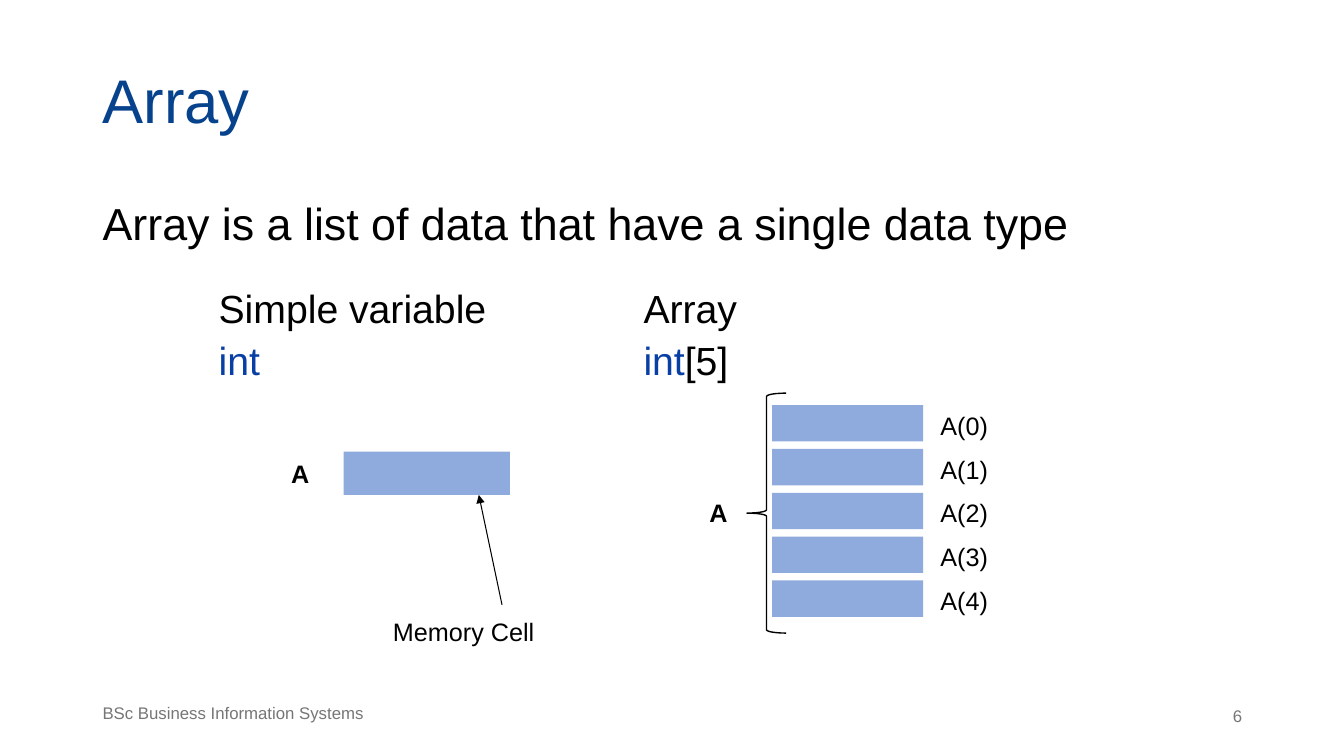
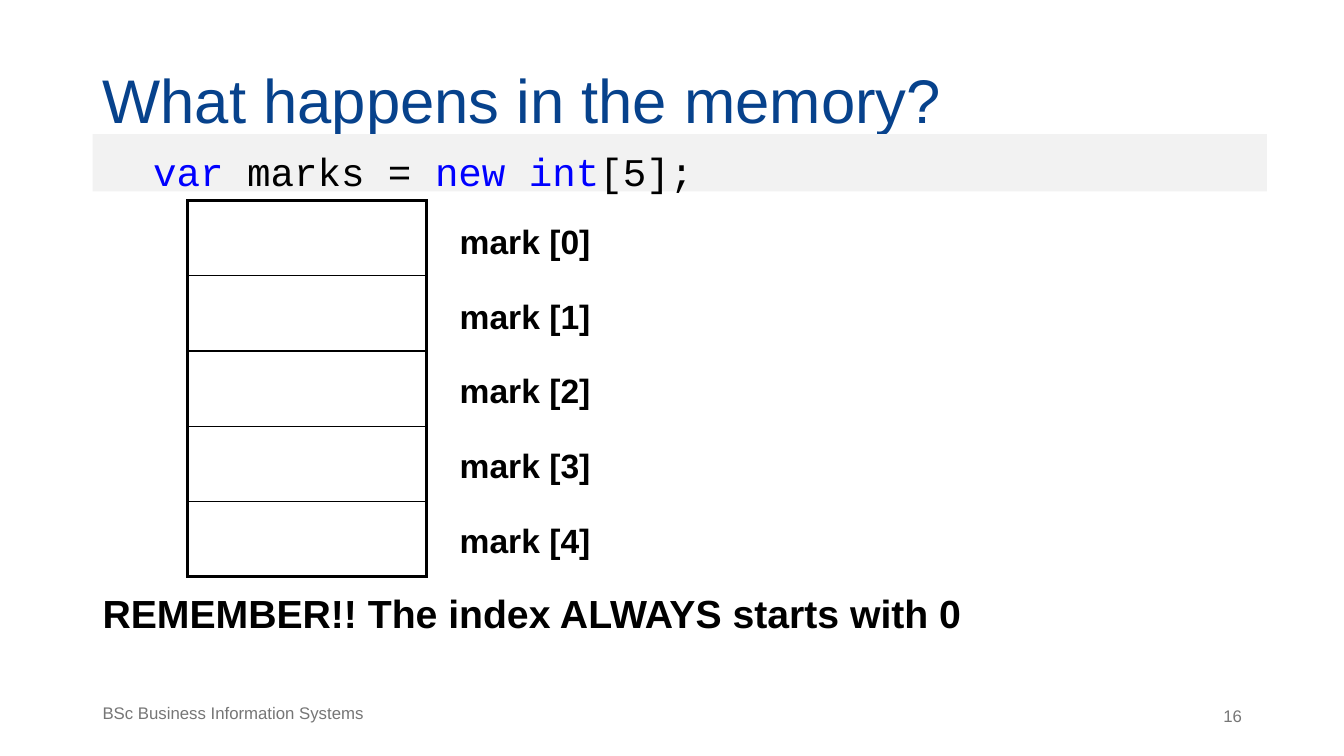
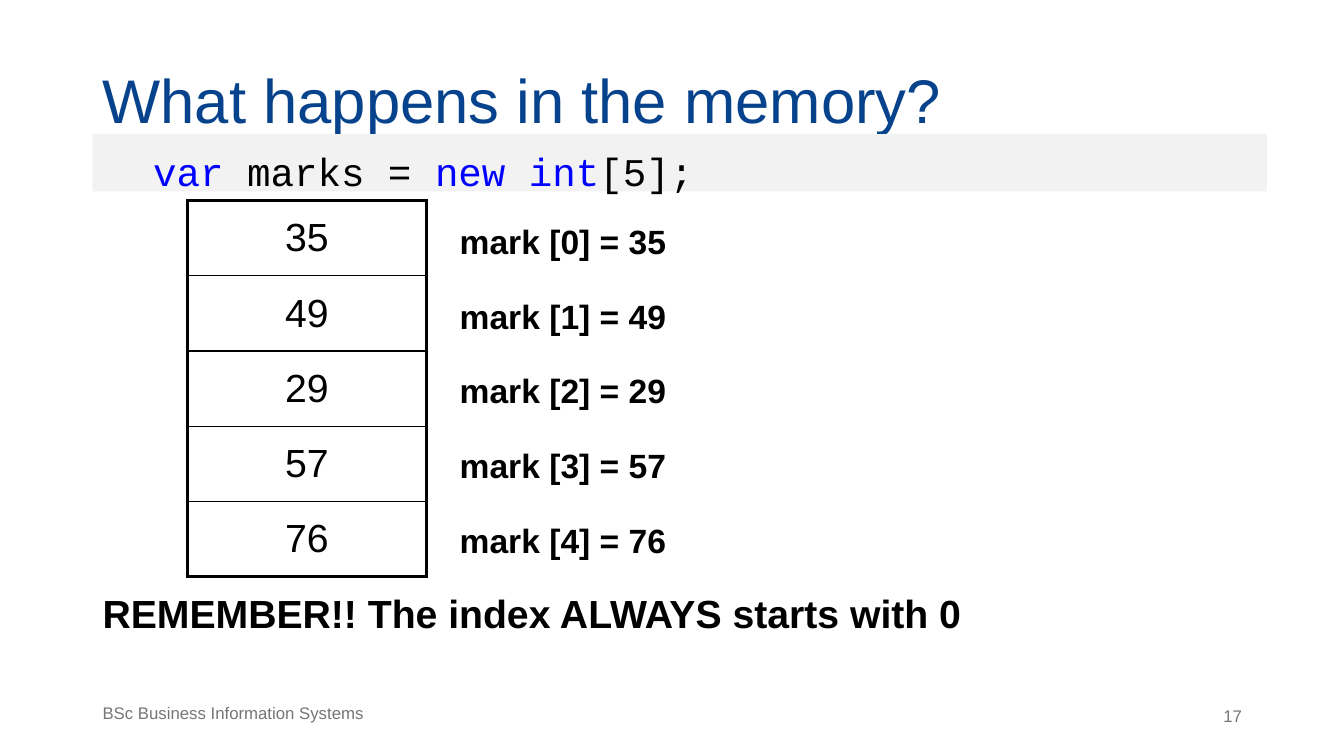
from pptx import Presentation, util as u
from pptx.dml import color
from pptx.enum import shapes, text
from pptx.oxml import ns
from lxml import etree

Pt = u.Pt
HUES = {"title": "07428C", "grey": "767676", "ink": "000000", "type": "083FA4",
        "key": "0000FF", "band": "F2F2F2", "cell": "8FAADC"}
SANS, MONO = "Arial", "Courier New"
LEFT = 66.2
TOP, MID, LOW = text.MSO_ANCHOR.TOP, text.MSO_ANCHOR.MIDDLE, text.MSO_ANCHOR.BOTTOM
FLUSH, CENTER, RIGHT = text.PP_ALIGN.LEFT, text.PP_ALIGN.CENTER, text.PP_ALIGN.RIGHT
CODE = [("var", "key"), (" marks = ", "ink"), ("new int", "key"), ("[5];", "ink")]


def rgb(hue):
    return color.RGBColor.from_string(HUES[hue])


def write(para, runs, size, hue="ink", bold=False, face=SANS, align=FLUSH, lead=1.0):
    font = para.font
    font.name, font.size, font.bold = face, Pt(size), bold
    para.alignment, para.line_spacing = align, lead
    for words, tint in [(runs, hue)] if isinstance(runs, str) else runs:
        run = para.add_run()
        run.text = words
        run.font.color.rgb = rgb(tint)


def label(slide, box, words, size, anchor=TOP, pad=3.6, wrap=True, **style):
    frame = slide.shapes.add_textbox(*map(Pt, box)).text_frame
    frame.word_wrap = wrap
    frame.vertical_anchor = anchor
    frame.margin_top = frame.margin_bottom = Pt(pad)
    write(frame.paragraphs[0], words, size, **style)


def block(slide, box, hue):
    rect = slide.shapes.add_shape(shapes.MSO_SHAPE.RECTANGLE, *map(Pt, box))
    rect.shadow.inherit = False
    rect.fill.solid()
    rect.fill.fore_color.rgb = rgb(hue)
    rect.line.fill.background()
    return rect


def brace(slide, box):
    curve = slide.shapes.add_shape(shapes.MSO_SHAPE.LEFT_BRACE, *map(Pt, box))
    curve.shadow.inherit = False
    curve.adjustments[0] = 0.083
    curve.fill.background()
    curve.line.color.rgb = rgb("ink")
    curve.line.width = Pt(1)


def arrow(slide, ends):
    link = slide.shapes.add_connector(shapes.MSO_CONNECTOR.STRAIGHT, *map(Pt, ends))
    link.line.color.rgb = rgb("ink")
    link.line.width = Pt(0.75)
    etree.SubElement(link.line._get_or_add_ln(), ns.qn("a:tailEnd"), type="triangle")
    etree.SubElement(link._element.spPr, ns.qn("a:effectLst"))


def border(cell, widths):
    props = cell._tc.get_or_add_tcPr()
    for spot, (side, width) in enumerate(zip("LRTB", widths)):
        edge = etree.Element(ns.qn("a:ln" + side), w=str(Pt(width)))
        fill = etree.SubElement(edge, ns.qn("a:solidFill"))
        etree.SubElement(fill, ns.qn("a:srgbClr"), val=HUES["ink"])
        props.insert(spot, edge)


def grid(slide, rows, cols, box):
    table = slide.shapes.add_table(rows, cols, *map(Pt, box)).table
    table.first_row = table.horz_banding = False
    for cell in table.iter_cells():
        cell.fill.background()
    return table


def page(deck, title, number):
    slide = deck.slides.add_slide(deck.slide_layouts[6])
    label(slide, (LEFT, 37.4, 675.4, 67.7), title, 44, LOW, 7.2, hue="title", lead=0.9)
    label(slide, (LEFT, 499.7, 244, 29.5), "BSc Business Information Systems", 12,
          hue="grey", lead=0.9)
    label(slide, (733.7, 500.4, 160.6, 28.8), str(number), 12, hue="grey", align=RIGHT)
    return slide


def body(slide, words, size, **style):
    label(slide, (LEFT, 135.4, 884.2, 329), words, size, **style)


def array(deck):
    slide = page(deck, "Array", 6)
    body(slide, "Array is a list of data that have a single data type", 32,
         pad=8.5, lead=0.9)
    table = grid(slide, 1, 2, (149, 202.3, 607, 261.4))
    heads = ("Simple variable", [("int", "type")]), ("Array", [("int", "type"), ("[5]", "ink")])
    for cell, (name, kind) in zip(table.iter_cells(), heads):
        frame = cell.text_frame
        write(frame.paragraphs[0], name, 28)
        para = frame.add_paragraph()
        write(para, kind, 28)
        para.space_before = Pt(5.6)
    block(slide, (245.5, 322.6, 118.8, 31), "cell")
    for left, top in (200.9, 324), (499.7, 351.4):
        label(slide, (left, top, 33.8, 26.6), "A", 18, bold=True)
    for index in range(5):
        top = 289.4 + index * 31.3
        block(slide, (551.5, top, 108, 26), "cell")
        label(slide, (664.6, top, 62.6, 26.6), f"A({index})", 18)
    arrow(slide, (358.6, 432, 342, 353.5))
    label(slide, (273.6, 437, 164.2, 26.6), "Memory Cell", 18)
    brace(slide, (533.5, 280.8, 28.1, 171.4))


def memory(deck, number, marks):
    slide = page(deck, "What happens in the memory?", number)
    body(slide, "REMEMBER!! The index ALWAYS starts with 0", 28, anchor=LOW, pad=9.5,
         bold=True)
    frame = block(slide, (LEFT, 95.8, 838.8, 41), "band").text_frame
    frame.vertical_anchor = TOP
    frame.margin_left, frame.margin_top = Pt(43.2), Pt(9.5)
    write(frame.paragraphs[0], CODE, 28, face=MONO)
    table = grid(slide, 5, 1, (133.9, 143.3, 170.6, 268.6))
    for index, cell in enumerate(table.iter_cells()):
        border(cell, (2.25, 2.25, 1 if index else 2.25, 1 if index < 4 else 2.25))
        cell.vertical_anchor = MID
        name = f"mark [{index}]"
        if marks:
            write(cell.text_frame.paragraphs[0], str(marks[index]), 28, align=CENTER)
            name += f" = {marks[index]}"
        label(slide, (321.3, 154 + index * 53.5, 163.4 if marks else 108, 36), name, 24,
              wrap=False, bold=True)


def main():
    deck = Presentation()
    deck.slide_width, deck.slide_height = Pt(960), Pt(540)
    array(deck)
    memory(deck, 16, [])
    memory(deck, 17, [35, 49, 29, 57, 76])
    deck.save("out.pptx")


if __name__ == "__main__":
    main()
